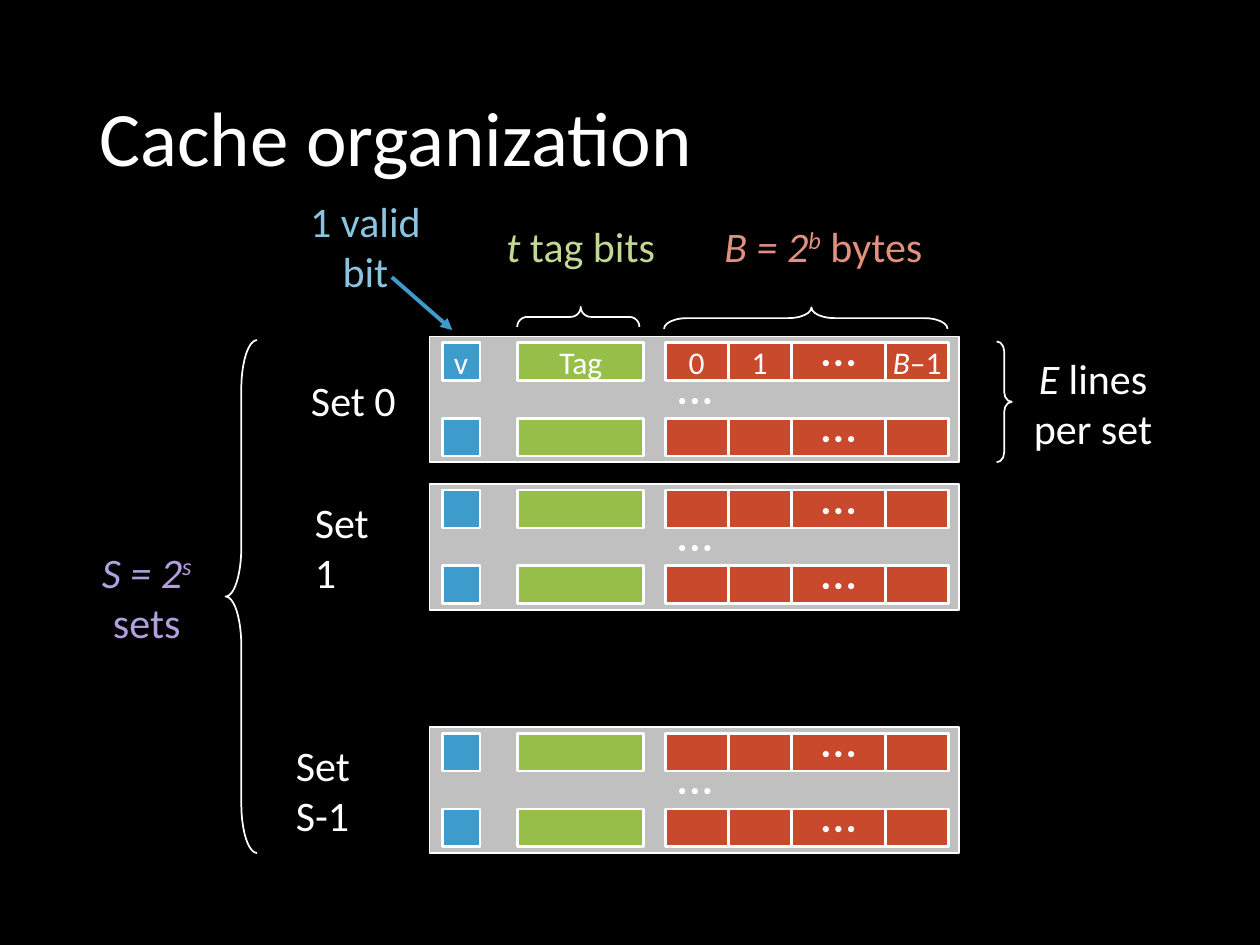
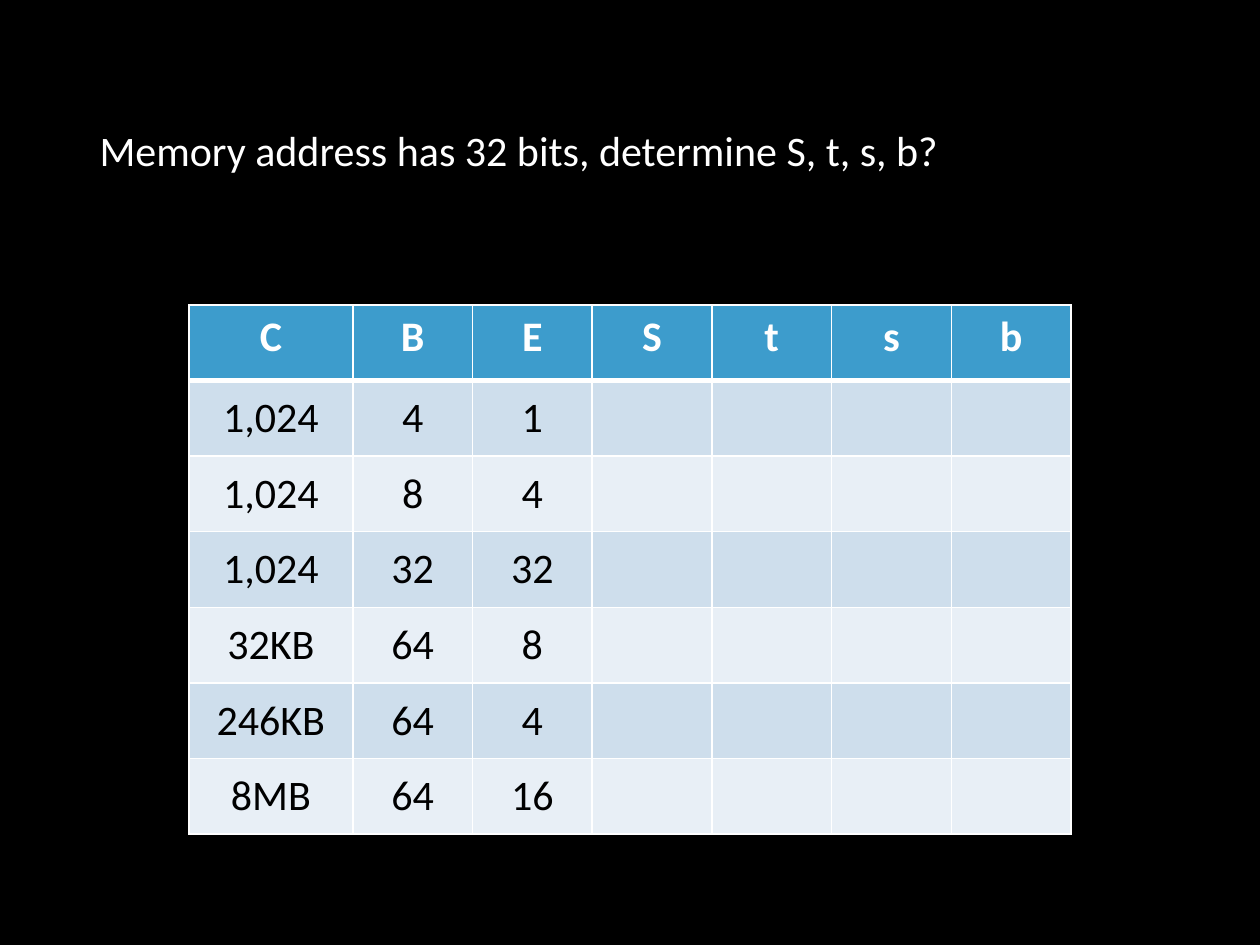
from dataclasses import dataclass
from lxml import etree
from pptx import Presentation
from pptx.dml.color import RGBColor
from pptx.enum.shapes import MSO_CONNECTOR, MSO_SHAPE
from pptx.enum.text import MSO_ANCHOR, MSO_AUTO_SIZE, PP_ALIGN
from pptx.oxml.ns import qn
from pptx.util import Inches, Pt

RECTANGLE = MSO_SHAPE.RECTANGLE
LEFT_BRACE, RIGHT_BRACE = MSO_SHAPE.LEFT_BRACE, MSO_SHAPE.RIGHT_BRACE
STRAIGHT = MSO_CONNECTOR.STRAIGHT
LEFT, CENTER = PP_ALIGN.LEFT, PP_ALIGN.CENTER
TOP, MIDDLE = MSO_ANCHOR.TOP, MSO_ANCHOR.MIDDLE
NO_AUTOFIT = MSO_AUTO_SIZE.NONE


@dataclass(frozen=True)
class Theme:
    font: str = "Calibri"
    background: str = "000000"
    white: str = "FFFFFF"
    black: str = "000000"
    set_fill: str = "C0C0C0"
    valid: str = "3D9CCC"
    tag: str = "97BE49"
    block: str = "C9492C"
    valid_text: str = "8BC4E0"
    tag_text: str = "C1D892"
    block_text: str = "E28F7D"
    sets_text: str = "B0A0DD"
    bands: tuple = ("CEDEEC", "E8EFF6")
    title_size: int = 44
    label_size: int = 24
    cell_size: int = 18
    dots_size: int = 10


THEME = Theme()
DOTS = "•\u00a0•\u00a0•"

ORGANIZATION_TITLE = "Cache organization"
ADDRESS_TITLE = "Memory address has 32 bits, determine S, t, s, b?"

LABELS = [
    ((5.63, 1.7, 1.81, 0.5), THEME.block_text, [[("B = 2", "i"), ("b", "i^"), (" bytes", "")]], None),
    ((8.08, 2.74, 1.19, 0.91), THEME.white, [[("E", "i"), (" lines", "")], [("per set", "")]], None),
    ((0.71, 4.28, 0.91, 0.91), THEME.sets_text, [[("S = 2", "i"), ("s", "i^")], [("sets", "")]], None),
    ((3.88, 1.7, 1.46, 0.5), THEME.tag_text, [[("t ", "i"), ("tag bits", "")]], None),
    ((2.37, 1.7, 1.51, 0.5), THEME.valid_text, [[("1 valid bit", "")]], (0.05, 0.5)),
]
BRACES = [
    (RIGHT_BRACE, (6.31, 1.4, 0.17, 2.25), 270, (1.08, 0.52)),
    (RIGHT_BRACE, (7.91, 2.71, 0.12, 0.96), 0, (0.66, 0.5)),
    (LEFT_BRACE, (1.79, 2.7, 0.25, 4.07), 0, (1.56, 0.5)),
    (RIGHT_BRACE, (4.51, 2.03, 0.16, 0.97), 270, (0.5, 0.52)),
]
ARROW = (3.11, 2.2, 3.59, 2.62)

SETS = [
    ("Set 0", 2.67, (2.37, 0.25, 0.93, 0.5), None),
    ("Set 1", 3.84, (2.4, 0.25, 0.86, 0.5), (0.1, 0.2)),
    ("Set S-1", 5.77, (2.25, 0.25, 1.12, 0.5), (0.1, 0.4)),
]
SET_LEFT, SET_WIDTH, SET_HEIGHT = 3.41, 4.2, 1
LINE_OFFSETS = (0.05, 0.65)
CELL_HEIGHT = 0.3
FIELDS = [
    (3.51, 0.3, THEME.valid, [("v", "")]),
    (4.11, 1, THEME.tag, [("Tag", "")]),
    (5.28, 0.5, THEME.block, [("0", "")]),
    (5.78, 0.5, THEME.block, [("1", "")]),
    (6.28, 0.75, THEME.block, DOTS),
    (7.03, 0.5, THEME.block, [("B", "i"), ("–1", "")]),
]

TABLE_ROWS = [
    ("C", "B", "E", "S", "t", "s", "b"),
    ("1,024", "4", "1"),
    ("1,024", "8", "4"),
    ("1,024", "32", "32"),
    ("32KB", "64", "8"),
    ("246KB", "64", "4"),
    ("8MB", "64", "16"),
]
COLUMN_WIDTHS = [1.3] + [0.95] * 6
ROW_HEIGHT = 0.6


def box(bounds):
    return [Inches(value) for value in bounds]


def add_runs(paragraph, runs, size, color, align=CENTER, bold=False):
    paragraph.alignment = align
    for text, style in runs:
        run = paragraph.add_run()
        run.text = text
        font = run.font
        font.name, font.size, font.bold = THEME.font, Pt(size), bold
        font.italic = "i" in style
        font.color.rgb = RGBColor.from_string(color)
        if "^" in style:
            run._r.get_or_add_rPr().set("baseline", "30000")


def write(shape, lines, size, color=THEME.white, align=CENTER, side_insets=None):
    frame = shape.text_frame
    frame.auto_size = NO_AUTOFIT
    frame.vertical_anchor = MIDDLE
    frame.word_wrap = side_insets is not None
    if side_insets:
        frame.margin_left, frame.margin_right = box(side_insets)
    for index, runs in enumerate(lines):
        paragraph = frame.add_paragraph() if index else frame.paragraphs[0]
        add_runs(paragraph, runs, size, color, align)


def add_box(shapes, bounds, fill, line_width):
    shape = shapes.add_shape(RECTANGLE, *box(bounds))
    shape.shadow.inherit = False
    shape.fill.solid()
    shape.fill.fore_color.rgb = RGBColor.from_string(fill)
    shape.line.color.rgb = RGBColor.from_string(THEME.white)
    shape.line.width = Pt(line_width)
    return shape


def add_brace(slide, kind, bounds, rotation, adjustments):
    brace = slide.shapes.add_shape(kind, *box(bounds))
    brace.shadow.inherit = False
    brace.fill.background()
    brace.line.color.rgb = RGBColor.from_string(THEME.white)
    brace.line.width = Pt(1)
    brace.rotation = rotation
    for index, value in enumerate(adjustments):
        brace.adjustments[index] = value


def add_arrow(slide, points, color):
    arrow = slide.shapes.add_connector(STRAIGHT, *box(points))
    arrow.line.color.rgb = RGBColor.from_string(color)
    arrow.line.width = Pt(2.25)
    etree.SubElement(arrow.line._get_or_add_ln(), qn("a:tailEnd"), type="triangle")
    etree.SubElement(arrow._element.spPr, qn("a:effectLst"))


def add_cache_set(slide, name, top, label_bounds, label_insets, named_fields):
    shapes = slide.shapes.add_group_shape().shapes
    add_box(shapes, (SET_LEFT, top, SET_WIDTH, SET_HEIGHT), THEME.set_fill, 1)
    for line_index, offset in enumerate(LINE_OFFSETS):
        for left, width, fill, content in FIELDS:
            cell = add_box(shapes, (left, top + offset, width, CELL_HEIGHT), fill, 1.5)
            if content == DOTS:
                write(cell, [[(DOTS, "")]], THEME.dots_size)
            elif named_fields and line_index == 0:
                write(cell, [content], THEME.cell_size)
    dots = shapes.add_textbox(*box((5.14, top + 0.35, 0.75, CELL_HEIGHT)))
    write(dots, [[(DOTS, "")]], THEME.dots_size)
    left, offset, width, height = label_bounds
    label = shapes.add_textbox(*box((left, top + offset, width, height)))
    write(label, [[(name, "")]], THEME.label_size, align=LEFT, side_insets=label_insets)


def add_slide(presentation, title, bounds, size, anchor):
    slide = presentation.slides.add_slide(presentation.slide_layouts.get_by_name("Title Only"))
    shape = slide.shapes.title
    shape.left, shape.top, shape.width, shape.height = box(bounds)
    frame = shape.text_frame
    frame.auto_size = NO_AUTOFIT
    frame.word_wrap = True
    frame.vertical_anchor = anchor
    paragraph = frame.paragraphs[0]
    paragraph.line_spacing = 0.9 if size == THEME.title_size else 1.0
    add_runs(paragraph, [(title, "")], size, THEME.white, LEFT)
    return slide


def set_borders(cell, widths):
    properties = cell._tc.get_or_add_tcPr()
    for side, width in widths.items():
        line = etree.SubElement(properties, qn(f"a:ln{side}"), w=str(Pt(width)))
        fill = etree.SubElement(line, qn("a:solidFill"))
        etree.SubElement(fill, qn("a:srgbClr"), val=THEME.white)


def add_parameter_table(slide):
    row_count, column_count = len(TABLE_ROWS), len(COLUMN_WIDTHS)
    bounds = box((1.5, 2.42, sum(COLUMN_WIDTHS), ROW_HEIGHT * row_count))
    table = slide.shapes.add_table(row_count, column_count, *bounds).table
    table.horz_banding = False
    for column, width in zip(table.columns, COLUMN_WIDTHS):
        column.width = Inches(width)
    for row_index, values in enumerate(TABLE_ROWS):
        table.rows[row_index].height = Inches(ROW_HEIGHT)
        header = row_index == 0
        fill = THEME.valid if header else THEME.bands[(row_index - 1) % 2]
        color = THEME.white if header else THEME.black
        borders = {"L": 1, "R": 1, "T": 3 if row_index == 1 else 1, "B": 3 if header else 1}
        for column_index in range(column_count):
            cell = table.cell(row_index, column_index)
            set_borders(cell, borders)
            cell.fill.solid()
            cell.fill.fore_color.rgb = RGBColor.from_string(fill)
            cell.vertical_anchor = TOP if header else MIDDLE
            if column_index < len(values):
                runs = [(values[column_index], "")]
                add_runs(cell.text_frame.paragraphs[0], runs, THEME.label_size, color, bold=header)


def build_organization(presentation):
    slide = add_slide(presentation, ORGANIZATION_TITLE, (0.69, 0.4, 8.62, 1.45), THEME.title_size, MIDDLE)
    for brace in BRACES:
        add_brace(slide, *brace)
    for bounds, color, lines, insets in LABELS:
        label = slide.shapes.add_textbox(*box(bounds))
        write(label, lines, THEME.label_size, color, side_insets=insets)
    for index, cache_set in enumerate(SETS):
        add_cache_set(slide, *cache_set, named_fields=index == 0)
    add_arrow(slide, ARROW, THEME.valid)


def build_address(presentation):
    slide = add_slide(presentation, ADDRESS_TITLE, (0.69, 0.94, 6.92, 0.5), THEME.label_size, TOP)
    add_parameter_table(slide)


def main():
    presentation = Presentation()
    presentation.slide_width, presentation.slide_height = Inches(10), Inches(7.5)
    background = presentation.slide_master.background.fill
    background.solid()
    background.fore_color.rgb = RGBColor.from_string(THEME.background)
    build_organization(presentation)
    build_address(presentation)
    presentation.save("out.pptx")


if __name__ == "__main__":
    main()
